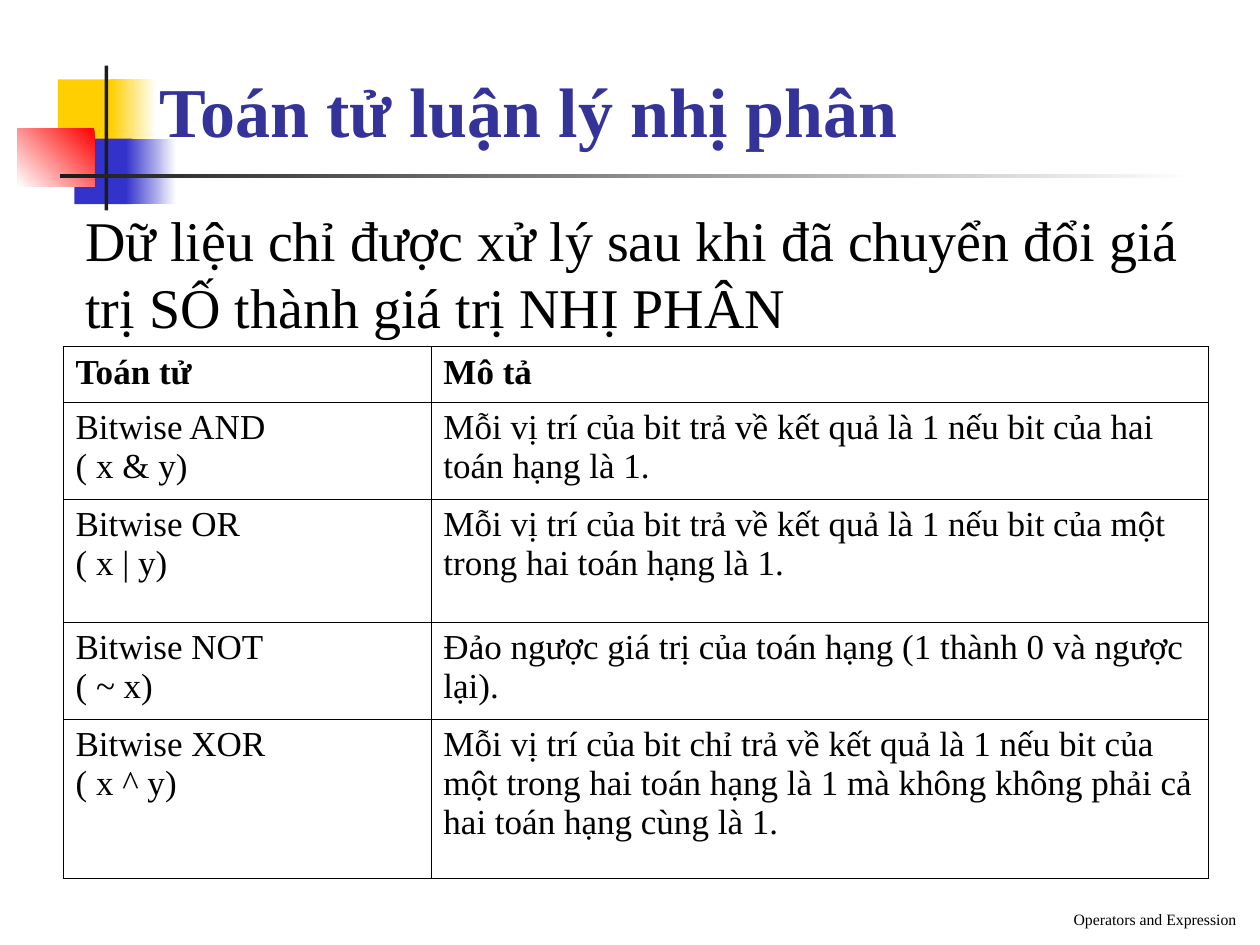
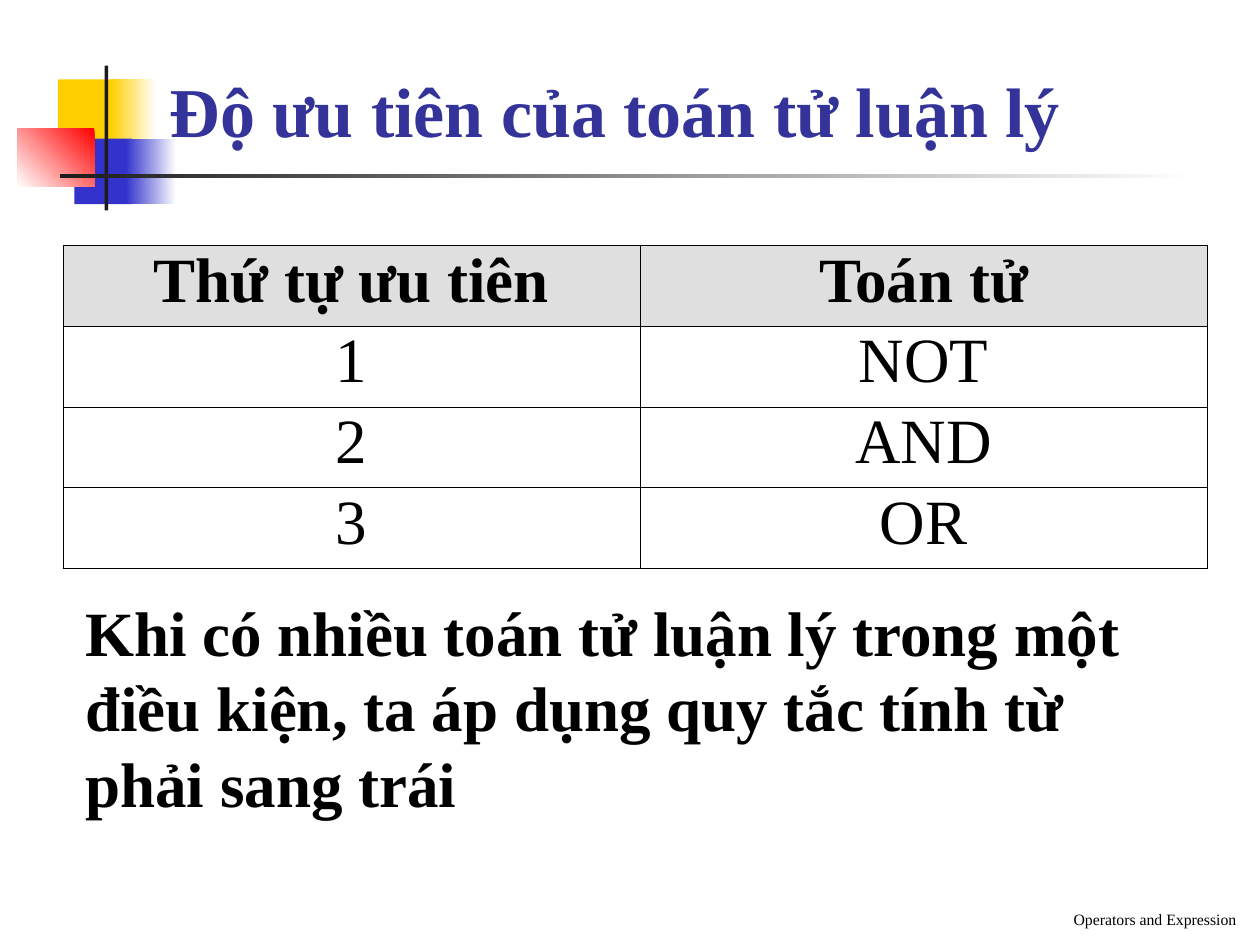
"""Two slides on bitwise operators and the precedence of logical operators."""
from lxml import etree
from pptx import Presentation
from pptx import util as u
from pptx.dml import color
from pptx.enum import shapes, text
from pptx.oxml import ns

FONT = "Times New Roman"
BLACK, WHITE, DARK = "000000", "FFFFFF", "1C1C1C"
YELLOW, BLUE, RED = "FFCF01", "3333CC", "FF0000"
TITLE_COLOR, HEADER_FILL = "333399", "DFDFDF"
FOOTER = "Operators and Expression"
TABLE_LEFT = 0.5

DECORATION = [
    ((0.46, 0.63, 0.48, 0.52), [YELLOW], 0),
    ((0.88, 0.63, 0.36, 0.52), [WHITE, YELLOW], 180),
    ((0.59, 1.1, 0.46, 0.52), [BLUE], 0),
    ((1, 1.1, 0.4, 0.52), [WHITE, BLUE], 180),
    ((0.14, 1.02, 0.61, 0.46), [RED, WHITE], 225),
    ((0.83, 0.52, 0.03, 1.15), [DARK], 0),
    ((0.48, 1.38, 9, 0.03), [WHITE, DARK], 180),
]

BITWISE = {
    "title": "Toán tử luận lý nhị phân",
    "title_at": (1.17, 0.33, 8.25, 0.92),
    "body": "Dữ liệu chỉ được xử lý sau khi đã chuyển đổi giá trị SỐ thành giá trị NHỊ PHÂN",
    "body_at": (0.58, 1.58, 8.92, 1.17),
    "body_style": {"size": 32, "before": 20},
    "rows": [
        ("Toán tử", "Mô tả"),
        ("Bitwise AND\n( x & y)",
         "Mỗi vị trí của bit trả về kết quả là 1 nếu bit của hai toán hạng là 1."),
        ("Bitwise OR\n( x | y)",
         "Mỗi vị trí của bit trả về kết quả là 1 nếu bit của một trong hai toán hạng là 1."),
        ("Bitwise NOT\n( ~ x)",
         "Ðảo ngược giá trị của toán hạng (1 thành 0 và ngược lại)."),
        ("Bitwise XOR\n( x ^ y)",
         "Mỗi vị trí của bit chỉ trả về kết quả là 1 nếu bit của một trong hai toán hạng "
         "là 1 mà không không phải cả hai toán hạng cùng là 1."),
    ],
    "top": 2.75,
    "widths": [2.92, 6.17],
    "heights": [0.44, 0.77, 0.98, 0.77, 1.26],
    "cell_style": {"size": 20},
    "header_fill": None,
}

PRECEDENCE = {
    "title": "Độ ưu tiên của toán tử luận lý",
    "title_at": (1.25, 0.42, 8.17, 0.83),
    "body": "Khi có nhiều toán tử luận lý trong một điều kiện, "
            "ta áp dụng quy tắc tính từ phải sang trái",
    "body_at": (0.58, 4.66, 8.83, 1.9),
    "body_style": {"size": 36, "bold": True, "anchor": text.MSO_ANCHOR.MIDDLE},
    "rows": [("Thứ tự ưu tiên", "Toán tử"), ("1", "NOT"), ("2", "AND"), ("3", "OR")],
    "top": 1.95,
    "widths": [4.58, 4.5],
    "heights": [0.64] * 4,
    "cell_style": {"size": 36, "align": text.PP_ALIGN.CENTER, "spacing": 0.9},
    "header_fill": HEADER_FILL,
}


def rgb(value):
    """Turn a hex string into a colour."""
    return color.RGBColor.from_string(value)


def inches(values):
    """Turn a sequence of numbers into lengths."""
    return [u.Inches(value) for value in values]


def write(frame, content, size, ink=BLACK, bold=False, align=text.PP_ALIGN.LEFT,
          anchor=text.MSO_ANCHOR.TOP, spacing=None, before=0):
    """Fill a text frame and format its paragraphs."""
    frame.text = content
    frame.word_wrap = True
    frame.vertical_anchor = anchor
    for para in frame.paragraphs:
        para.alignment = align
        para.line_spacing = spacing
        para.space_before = u.Pt(before)
        for span in para.runs:
            span.font.name = FONT
            span.font.size = u.Pt(size)
            span.font.bold = bold
            span.font.color.rgb = rgb(ink)


def add_text(page, at, content, **style):
    """Place a text box on the page."""
    box = page.shapes.add_textbox(*inches(at))
    write(box.text_frame, content, **style)


def add_decoration(page):
    """Draw the coloured blocks and the two bars beside the title."""
    for at, colors, angle in DECORATION:
        block = page.shapes.add_shape(shapes.MSO_SHAPE.RECTANGLE, *inches(at))
        block.shadow.inherit = False
        block.line.fill.background()
        if len(colors) == 1:
            block.fill.solid()
            block.fill.fore_color.rgb = rgb(colors[0])
        else:
            block.fill.gradient()
            block.fill.gradient_angle = angle
            for stop, value in zip(block.fill.gradient_stops, colors):
                stop.color.rgb = rgb(value)


def add_borders(cell):
    """Give a cell thin black lines on all four sides."""
    properties = cell._tc.get_or_add_tcPr()
    for side in ("a:lnL", "a:lnR", "a:lnT", "a:lnB"):
        line = etree.SubElement(properties, ns.qn(side), w=str(u.Pt(0.45)))
        fill = etree.SubElement(line, ns.qn("a:solidFill"))
        etree.SubElement(fill, ns.qn("a:srgbClr"), val=BLACK)


def add_grid(page, topic):
    """Place the table of a topic."""
    rows, widths, heights = topic["rows"], topic["widths"], topic["heights"]
    at = (TABLE_LEFT, topic["top"], sum(widths), sum(heights))
    table = page.shapes.add_table(len(rows), len(widths), *inches(at)).table
    table.first_row = table.horz_banding = False
    for column, width in zip(table.columns, inches(widths)):
        column.width = width
    for line, height in zip(table.rows, inches(heights)):
        line.height = height
    for i, row in enumerate(rows):
        for j, content in enumerate(row):
            cell = table.cell(i, j)
            write(cell.text_frame, content, bold=i == 0, **topic["cell_style"])
            add_borders(cell)
            if i == 0 and topic["header_fill"]:
                cell.fill.solid()
                cell.fill.fore_color.rgb = rgb(topic["header_fill"])
            else:
                cell.fill.background()


def add_page(deck, topic):
    """Build one slide."""
    page = deck.slides.add_slide(deck.slide_layouts[6])
    add_decoration(page)
    add_text(page, topic["title_at"], topic["title"], size=40, ink=TITLE_COLOR,
             bold=True, anchor=text.MSO_ANCHOR.BOTTOM)
    add_text(page, topic["body_at"], topic["body"], **topic["body_style"])
    add_grid(page, topic)
    add_text(page, (3.83, 6.92, 6.08, 0.5), FOOTER, size=9,
             align=text.PP_ALIGN.RIGHT, anchor=text.MSO_ANCHOR.BOTTOM)


def main():
    """Build the deck and save it."""
    deck = Presentation()
    deck.slide_width, deck.slide_height = inches((10, 7.5))
    for topic in (BITWISE, PRECEDENCE):
        add_page(deck, topic)
    deck.save("out.pptx")


if __name__ == "__main__":
    main()
